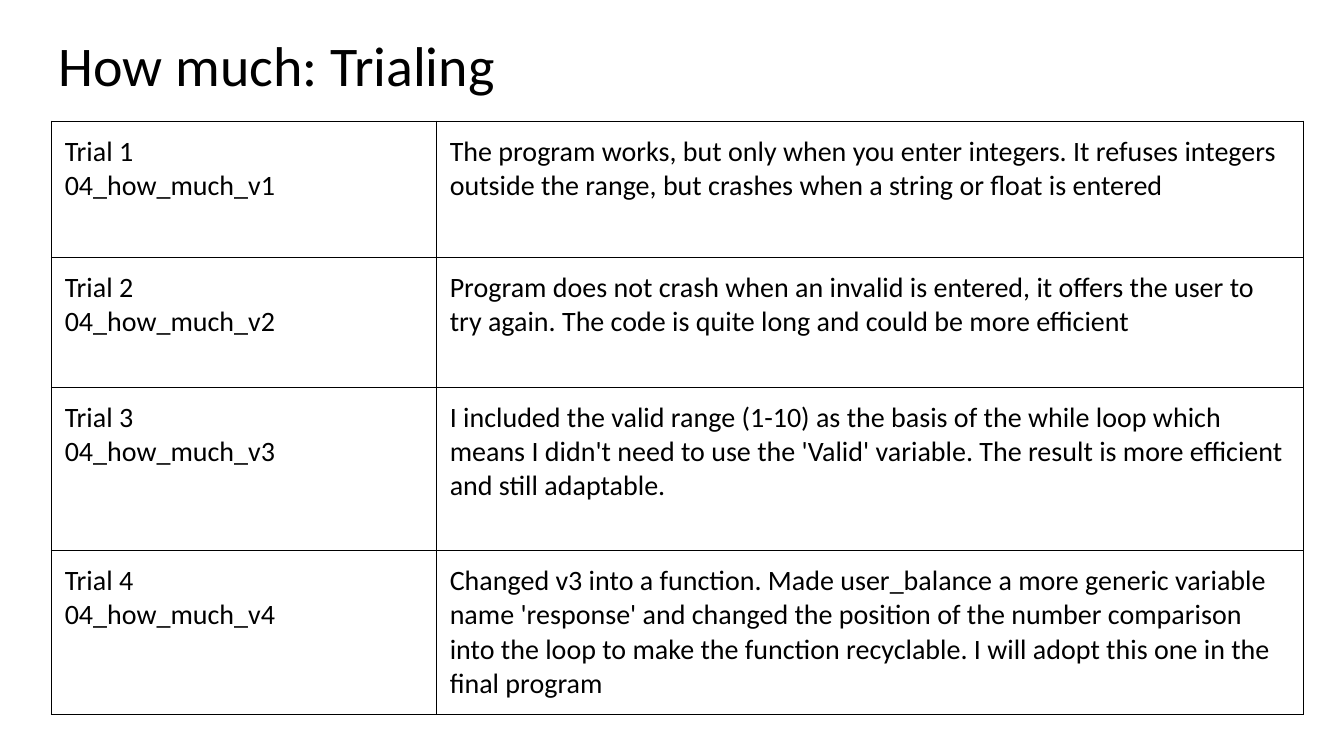
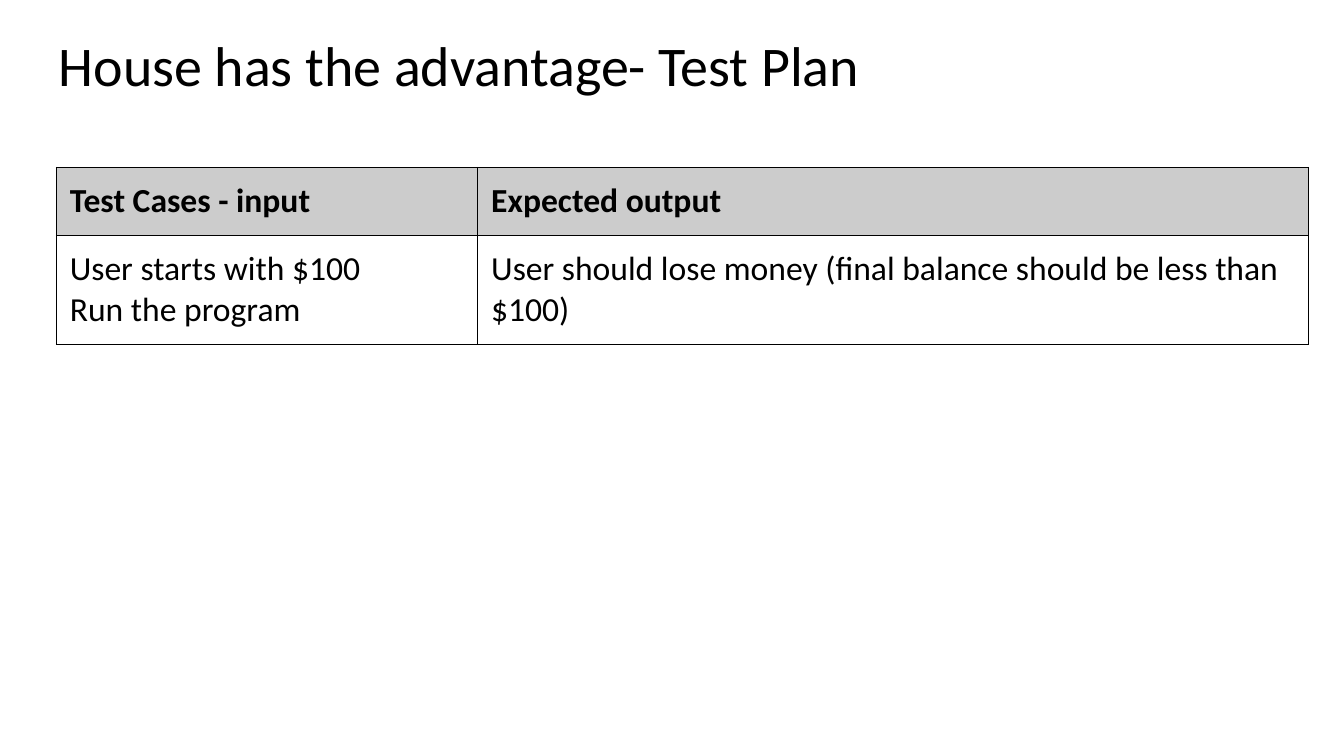
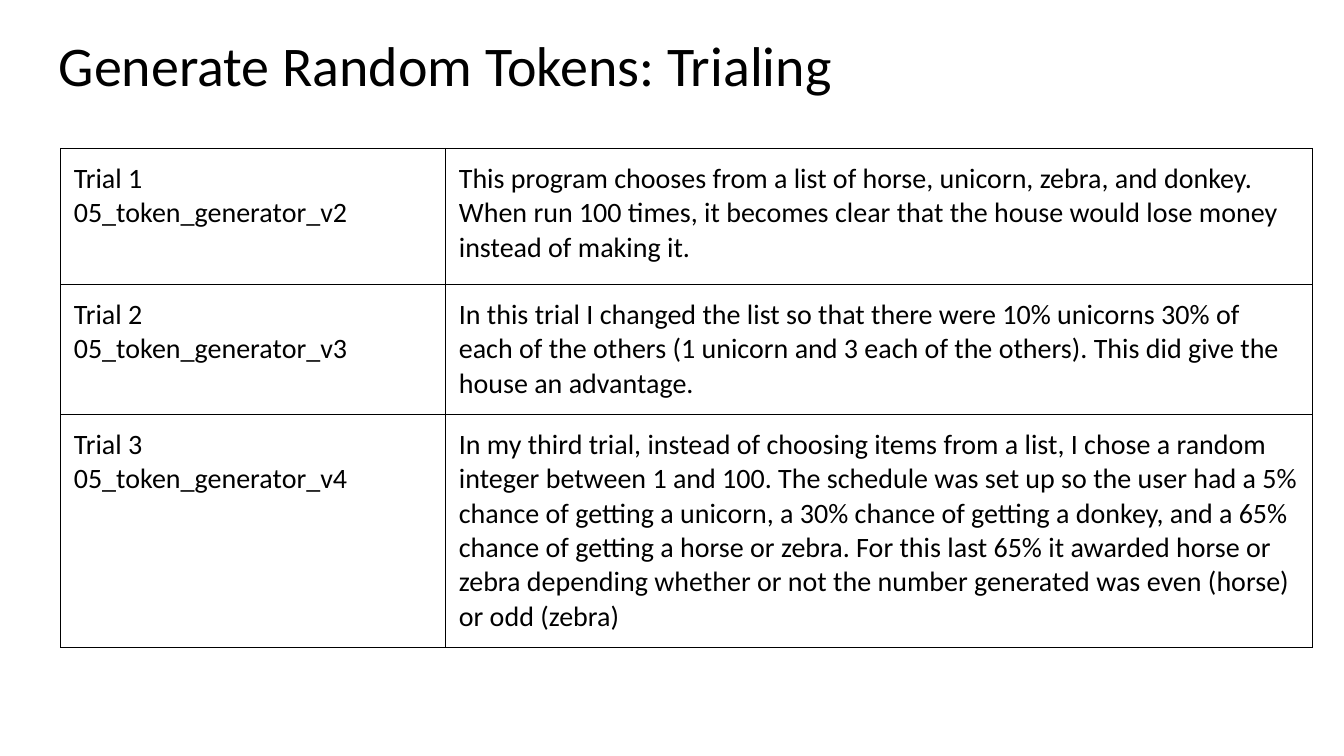
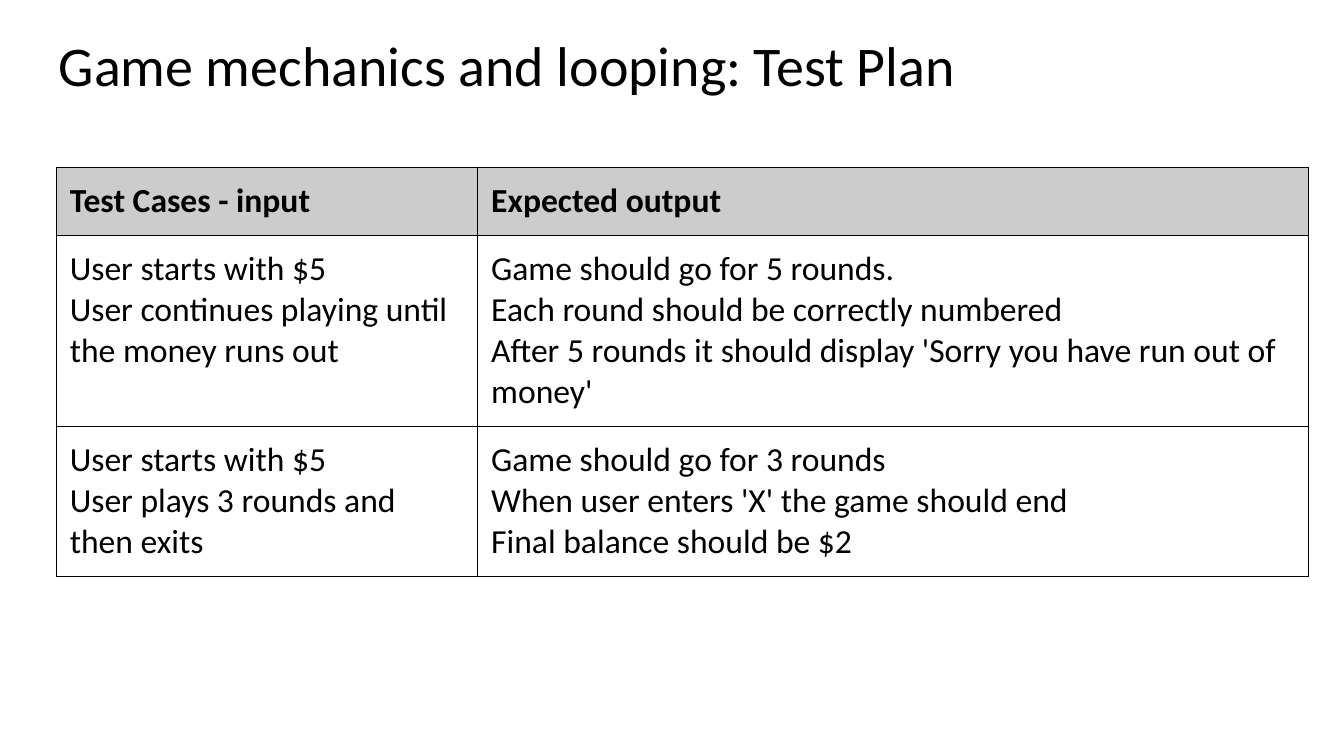
"""Build four slides with trial logs and test plans for a game program."""
from lxml import etree
from pptx import Presentation
from pptx.dml.color import RGBColor
from pptx.enum.text import MSO_ANCHOR, MSO_AUTO_SIZE, PP_ALIGN
from pptx.oxml.ns import qn
from pptx.util import Pt

COLORS = {"text": "000000", "border": "000000", "header": "CCCCCC"}
FONT = "Calibri"
INSET = 9.6
TABLE_WIDTH = 894.5
TITLE_BOX = (32.4, 17.3, 894.5, 60.5)
STYLES = {
    "trial": {"size": 20, "first_col": 275},
    "plan": {"size": 24, "first_col": 301},
}
PLAN_HEADER = ("Test Cases - input", "Expected output")

SLIDES = [
    {
        "title": "How much: Trialing",
        "style": "trial",
        "at": (36.7, 86.4),
        "heights": (97.2, 92.9, 116.6, 116.8),
        "rows": [
            ("Trial 1\n04_how_much_v1",
             "The program works, but only when you enter integers. It refuses integers "
             "outside the range, but crashes when a string or float is entered"),
            ("Trial 2\n04_how_much_v2",
             "Program does not crash when an invalid is entered, it offers the user to "
             "try again. The code is quite long and could be more efficient"),
            ("Trial 3\n04_how_much_v3",
             "I included the valid range (1-10) as the basis of the while loop which "
             "means I didn't need to use the 'Valid' variable. The result is more "
             "efficient and still adaptable."),
            ("Trial 4\n04_how_much_v4",
             "Changed v3 into a function. Made user_balance a more generic variable "
             "name 'response' and changed the position of the number comparison into "
             "the loop to make the function recyclable. I will adopt this one in the "
             "final program"),
        ],
    },
    {
        "title": "House has the advantage- Test Plan",
        "style": "plan",
        "at": (40.3, 119.5),
        "heights": (48.4, 77.8),
        "rows": [
            PLAN_HEADER,
            ("User starts with $100\nRun the program",
             "User should lose money (final balance should be less than $100)"),
        ],
    },
    {
        "title": "Generate Random Tokens: Trialing",
        "style": "trial",
        "at": (43.2, 106),
        "heights": (97.2, 92.9, 165.6),
        "rows": [
            ("Trial 1\n05_token_generator_v2",
             "This program chooses from a list of horse, unicorn, zebra, and donkey. "
             "When run 100 times, it becomes clear that the house would lose money "
             "instead of making it."),
            ("Trial 2\n05_token_generator_v3",
             "In this trial I changed the list so that there were 10% unicorns 30% of "
             "each of the others (1 unicorn and 3 each of the others). This did give "
             "the house an advantage."),
            ("Trial 3\n05_token_generator_v4",
             "In my third trial, instead of choosing items from a list, I chose a "
             "random integer between 1 and 100. The schedule was set up so the user "
             "had a 5% chance of getting a unicorn, a 30% chance of getting a donkey, "
             "and a 65% chance of getting a horse or zebra. For this last 65% it "
             "awarded horse or zebra depending whether or not the number generated "
             "was even (horse) or odd (zebra)"),
        ],
    },
    {
        "title": "Game mechanics and looping: Test Plan",
        "style": "plan",
        "at": (40.3, 119.5),
        "heights": (48.4, 136.4, 107.1),
        "rows": [
            PLAN_HEADER,
            ("User starts with $5\nUser continues playing until the money runs out",
             "Game should go for 5 rounds.\nEach round should be correctly numbered\n"
             "After 5 rounds it should display 'Sorry you have run out of money'"),
            ("User starts with $5\nUser plays 3 rounds and then exits",
             "Game should go for 3 rounds\nWhen user enters 'X' the game should end\n"
             "Final balance should be $2"),
        ],
    },
]


def write(tf, text, size, bold=False, spacing=1.0):
    tf.word_wrap = True
    for i, line in enumerate(text.split("\n")):
        p = tf.add_paragraph() if i else tf.paragraphs[0]
        p.alignment = PP_ALIGN.LEFT
        p.line_spacing = spacing
        r = p.add_run()
        r.text = line
        r.font.name = FONT
        r.font.size = Pt(size)
        r.font.bold = bold
        r.font.color.rgb = RGBColor.from_string(COLORS["text"])


def set_insets(box):
    box.margin_left = box.margin_right = Pt(INSET)
    box.margin_top = box.margin_bottom = Pt(INSET)
    box.vertical_anchor = MSO_ANCHOR.TOP


def add_borders(cell):
    tc_pr = cell._tc.get_or_add_tcPr()
    for i, side in enumerate(("lnL", "lnR", "lnT", "lnB")):
        ln = etree.Element(qn(f"a:{side}"), w=str(Pt(0.75)))
        fill = etree.SubElement(ln, qn("a:solidFill"))
        etree.SubElement(fill, qn("a:srgbClr"), val=COLORS["border"])
        tc_pr.insert(i, ln)


def add_title(s, text):
    sp = s.shapes.title
    sp.left, sp.top, sp.width, sp.height = map(Pt, TITLE_BOX)
    tf = sp.text_frame
    tf.auto_size = MSO_AUTO_SIZE.NONE
    set_insets(tf)
    write(tf, text, size=40, spacing=0.9)


def add_grid(s, rows, heights, at, size, first_col):
    frame = s.shapes.add_table(len(rows), 2, *map(Pt, (*at, TABLE_WIDTH, sum(heights))))
    table = frame.table
    table.first_row = table.horz_banding = False
    for col, width in zip(table.columns, (first_col, TABLE_WIDTH - first_col)):
        col.width = Pt(width)
    for row, height, texts in zip(table.rows, heights, rows):
        row.height = Pt(height)
        is_header = texts == PLAN_HEADER
        for cell, text in zip(row.cells, texts):
            set_insets(cell)
            write(cell.text_frame, text, size=size, bold=is_header)
            if is_header:
                cell.fill.solid()
                cell.fill.fore_color.rgb = RGBColor.from_string(COLORS["header"])
            else:
                cell.fill.background()
            add_borders(cell)


def main():
    prs = Presentation()
    prs.slide_width, prs.slide_height = Pt(960), Pt(540)
    for item in SLIDES:
        s = prs.slides.add_slide(prs.slide_layouts[5])
        add_title(s, item["title"])
        add_grid(s, item["rows"], item["heights"], item["at"], **STYLES[item["style"]])
    prs.save("out.pptx")


if __name__ == "__main__":
    main()
